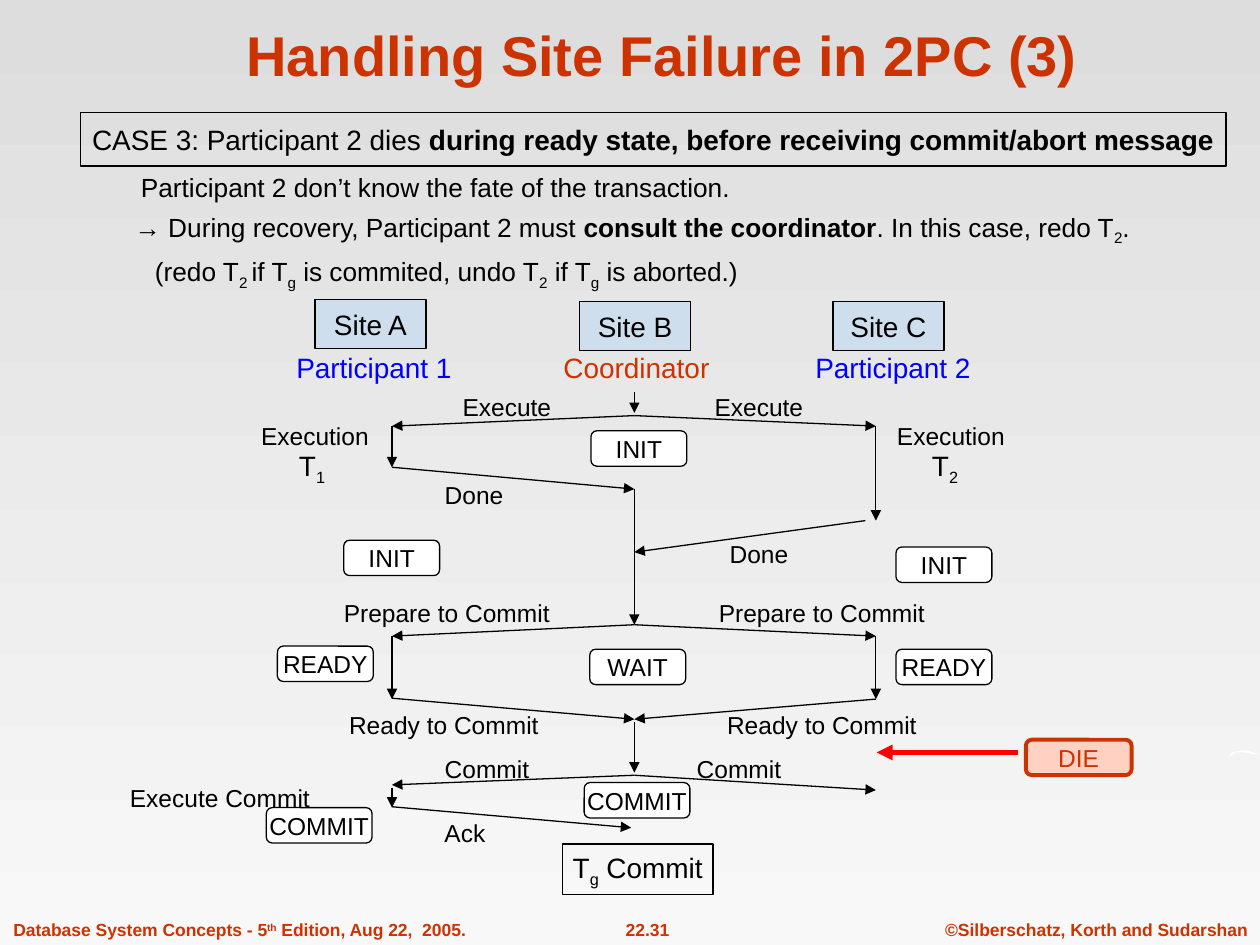
from typing import NamedTuple

from lxml import etree
from pptx import Presentation
from pptx.dml.color import RGBColor
from pptx.enum.shapes import MSO_CONNECTOR, MSO_SHAPE
from pptx.enum.text import MSO_ANCHOR, MSO_AUTO_SIZE, PP_ALIGN
from pptx.oxml.ns import qn
from pptx.util import Pt

LEFT, CENTER, RIGHT = PP_ALIGN.LEFT, PP_ALIGN.CENTER, PP_ALIGN.RIGHT
MIDDLE, BOTTOM, TOP = MSO_ANCHOR.MIDDLE, MSO_ANCHOR.BOTTOM, MSO_ANCHOR.TOP
RECTANGLE, ROUNDED = MSO_SHAPE.RECTANGLE, MSO_SHAPE.ROUNDED_RECTANGLE
STRAIGHT = MSO_CONNECTOR.STRAIGHT
NO_FIT = MSO_AUTO_SIZE.NONE

COLORS = {
    "top": "DDDDDD", "bottom": "F8F8F8", "black": "000000", "white": "FFFFFF",
    "accent": "CC3300", "participant": "0000FF", "site": "99CCFF",
    "die": "FFD1C2", "failure": "FF0000",
}
FONT = "Arial"
SUBSCRIPT, SUPERSCRIPT = -25, 30
LANE_A, LANE_B, LANE_C = 224, 362.5, 500.5


class Run(NamedTuple):
    text: str
    bold: bool = False
    baseline: int = 0


class Label(NamedTuple):
    text: str | tuple
    center_x: float
    center_y: float
    size: float = 14
    color: str = "black"


class Box(NamedTuple):
    text: str | tuple
    left: float
    top: float
    width: float = 54.8
    height: float = 20.2
    preset: int = ROUNDED
    fill: str | None = "white"
    opacity: int = 100
    line: str = "black"
    line_width: float = 0.75
    size: float = 14
    color: str = "black"


class Arrow(NamedTuple):
    x1: float
    y1: float
    x2: float
    y2: float
    color: str = "black"
    width: float = 0.75


def sub(text: str) -> Run:
    return Run(text, baseline=SUBSCRIPT)


def rgb(name: str) -> RGBColor:
    return RGBColor.from_string(COLORS[name])


def write_text(paragraph, text, *, size=14, color="black", bold=False, align=CENTER):
    """Fill a paragraph with a plain string or a tuple of runs."""
    paragraph.alignment = align
    for part in (Run(text),) if isinstance(text, str) else text:
        run = paragraph.add_run()
        run.text = part.text
        run.font.name, run.font.size = FONT, Pt(size)
        run.font.bold = bold or part.bold
        run.font.color.rgb = rgb(color)
        if part.baseline:
            run._r.get_or_add_rPr().set("baseline", str(part.baseline * 1000))


def place(shape, left: float, top: float, width: float, height: float) -> None:
    shape.left, shape.top = Pt(left), Pt(top)
    shape.width, shape.height = Pt(width), Pt(height)


def add_text(slide, text, left: float, center_y: float, width: float, **style) -> None:
    """Add one line of text centred vertically on center_y."""
    height = 24
    box = slide.shapes.add_textbox(Pt(left), Pt(center_y - height / 2), Pt(width), Pt(height))
    frame = box.text_frame
    frame.word_wrap, frame.vertical_anchor = True, MIDDLE
    write_text(frame.paragraphs[0], text, **style)


def add_label(slide, label: Label) -> None:
    width = 150
    add_text(slide, label.text, label.center_x - width / 2, label.center_y, width,
             size=label.size, color=label.color)


def add_box(slide, box: Box) -> None:
    shape = slide.shapes.add_shape(
        box.preset, Pt(box.left), Pt(box.top), Pt(box.width), Pt(box.height))
    shape.shadow.inherit = False
    if box.fill:
        shape.fill.solid()
        shape.fill.fore_color.rgb = rgb(box.fill)
    else:
        shape.fill.background()
    if box.opacity < 100:
        color = shape._element.spPr.find(qn("a:solidFill"))[0]
        etree.SubElement(color, qn("a:alpha")).set("val", str(box.opacity * 1000))
    shape.line.color.rgb, shape.line.width = rgb(box.line), Pt(box.line_width)
    frame = shape.text_frame
    frame.word_wrap, frame.vertical_anchor = False, MIDDLE
    write_text(frame.paragraphs[0], box.text, size=box.size, color=box.color)


def add_arrow(slide, arrow: Arrow) -> None:
    connector = slide.shapes.add_connector(
        STRAIGHT, Pt(arrow.x1), Pt(arrow.y1), Pt(arrow.x2), Pt(arrow.y2))
    connector.line.color.rgb, connector.line.width = rgb(arrow.color), Pt(arrow.width)
    line = connector.line._get_or_add_ln()
    etree.SubElement(line, qn("a:tailEnd")).set("type", "triangle")
    etree.SubElement(connector._element.spPr, qn("a:effectLst"))


def paint_background(slide) -> None:
    fill = slide.background.fill
    fill.gradient()
    fill.gradient_angle = 270
    for stop, name, position in zip(fill.gradient_stops, ("top", "bottom"), (0, 1)):
        stop.color.rgb, stop.position = rgb(name), position


def add_edge_wave(slide) -> None:
    points = [(702, 432.7), (704, 430), (708, 428.6), (713, 429), (720, 430.6),
              (717, 431.3), (711, 430), (706, 430.5)]
    builder = slide.shapes.build_freeform(*points[0], scale=Pt(1))
    builder.add_line_segments(points[1:], close=True)
    wave = builder.convert_to_shape()
    wave.shadow.inherit = False
    wave.fill.solid()
    wave.fill.fore_color.rgb = rgb("white")
    wave.line.fill.background()


def fill_placeholders(slide) -> None:
    title, body = slide.placeholders
    place(title, 60.5, 5.8, 635.8, 48.2)
    title.text_frame.auto_size, title.text_frame.vertical_anchor = NO_FIT, BOTTOM
    write_text(title.text_frame.paragraphs[0], "Handling Site Failure in 2PC (3)",
               size=32, color="accent", bold=True)

    place(body, 64.8, 94, 604, 75.6)
    frame = body.text_frame
    frame.auto_size, frame.vertical_anchor = NO_FIT, TOP
    for index, (indent, text) in enumerate(BODY_LINES):
        paragraph = frame.add_paragraph() if index else frame.paragraphs[0]
        properties = paragraph._p.get_or_add_pPr()
        properties.set("marL", str(Pt(indent)))
        properties.set("indent", "0")
        etree.SubElement(properties, qn("a:buNone"))
        paragraph.space_before = Pt(5 if index else 0)
        write_text(paragraph, text, size=15, align=LEFT)


BODY_LINES = [
    (8.5, "Participant 2 don’t know the fate of the transaction."),
    (5, (Run("→ During recovery, Participant 2 must "), Run("consult the coordinator", True),
         Run(". In this case, redo T"), sub("2"), Run("."))),
    (16.5, (Run("(redo T"), sub("2 "), Run("if T"), sub("g"), Run(" is commited, undo T"),
            sub("2"), Run(" if T"), sub("g"), Run(" is aborted.)"))),
]
LABELS = [
    Label("Participant 1", 213.7, 209.7, 16, "participant"),
    Label("Coordinator", 363.7, 209.7, 16, "accent"),
    Label("Participant 2", 510.3, 209.7, 16, "participant"),
    Label("Execute", 289.7, 232.6), Label("Execute", 433.7, 232.6),
    Label("Execution", 180, 249.1), Label("Execution", 543.4, 249.1),
    Label("Done", 270.9, 282.9), Label("Done", 433.7, 316.6),
    Label("Prepare to Commit", 255.4, 350.3), Label("Prepare to Commit", 469.7, 350.3),
    Label("Ready to Commit", 253.7, 414.3), Label("Ready to Commit", 469.7, 414.3),
    Label("Commit", 278.3, 439.4), Label("Commit", 422.3, 439.4),
    Label("Execute Commit", 125.7, 456), Label("Ack", 265.7, 476),
    Label((Run("T"), sub("1")), 178.3, 267, 16), Label((Run("T"), sub("2")), 540, 267, 16),
]
ARROWS = [
    Arrow(LANE_B, 224, LANE_B, 236),
    Arrow(LANE_B, 237.5, LANE_A, 243.5), Arrow(LANE_B, 237.5, LANE_C, 243.5),
    Arrow(LANE_A, 243.5, LANE_A, 267), Arrow(LANE_C, 243.5, LANE_C, 297.5),
    Arrow(LANE_A, 267, LANE_B, 279.5), Arrow(494.5, 297.5, LANE_B, 315.5),
    Arrow(LANE_B, 279.5, LANE_B, 357),
    Arrow(LANE_B, 357, LANE_A, 363.5), Arrow(LANE_B, 357, LANE_C, 363.5),
    Arrow(LANE_A, 363.5, LANE_A, 399.5), Arrow(LANE_C, 363.5, LANE_C, 399.5),
    Arrow(LANE_A, 399, LANE_B, 411), Arrow(LANE_C, 399.5, LANE_B, 411),
    Arrow(LANE_B, 412.5, LANE_B, 441.5),
    Arrow(LANE_B, 443, LANE_A, 448.5), Arrow(LANE_B, 443, LANE_C, 451.5),
    Arrow(LANE_A, 450, LANE_A, 461.5), Arrow(LANE_A, 461, 360.7, 473),
    Arrow(581.8, 430, 501, 430, "failure", 3),
]
SITES = [
    Box(name, left, top, 63.4, 28, RECTANGLE, "site", 30, size=16)
    for name, left, top in (("Site A", 180, 171.2), ("Site B", 331.2, 172.2), ("Site C", 476, 172.2))
]
STATES = [
    Box("INIT", 337.7, 246.2), Box("INIT", 196.4, 308.7), Box("INIT", 512, 312.6),
    Box("WAIT", 337, 371), Box("READY", 158.5, 369.2), Box("READY", 512, 371),
    Box("COMMIT", 333.8, 447.2, 60.4), Box("COMMIT", 152.2, 461.5, 60.4),
    Box("DIE", 586.2, 422.7, 60.4, fill="die", line="accent", line_width=2.25, color="accent"),
]
FRAMES = [
    Box((Run("CASE 3: Participant 2 dies "),
         Run("during ready state, before receiving commit/abort message", True)),
        46, 64.2, 654.6, 30.7, RECTANGLE, None, size=16),
    Box((Run("T"), sub("g"), Run(" Commit")), 321.3, 482.3, 86.2, 28.8, RECTANGLE, None, size=16),
]
FOOTERS = [
    ((Run("Database System Concepts - 5"), Run("th", baseline=SUPERSCRIPT),
      Run(" Edition, Aug 22,  2005.")), 0.5, 300, LEFT),
    ("22.31", 330, 80, CENTER),
    ("©Silberschatz, Korth and Sudarshan", 500, 220, RIGHT),
]


def main() -> None:
    presentation = Presentation()
    presentation.slide_width, presentation.slide_height = Pt(720), Pt(540)
    slide = presentation.slides.add_slide(presentation.slide_layouts[1])
    paint_background(slide)
    fill_placeholders(slide)
    add_edge_wave(slide)
    for text, left, width, align in FOOTERS:
        add_text(slide, text, left, 531, width, size=10, color="accent", bold=True, align=align)
    for label in LABELS:
        add_label(slide, label)
    for arrow in ARROWS:
        add_arrow(slide, arrow)
    for box in SITES + STATES + FRAMES:
        add_box(slide, box)
    presentation.save("out.pptx")


if __name__ == "__main__":
    main()
